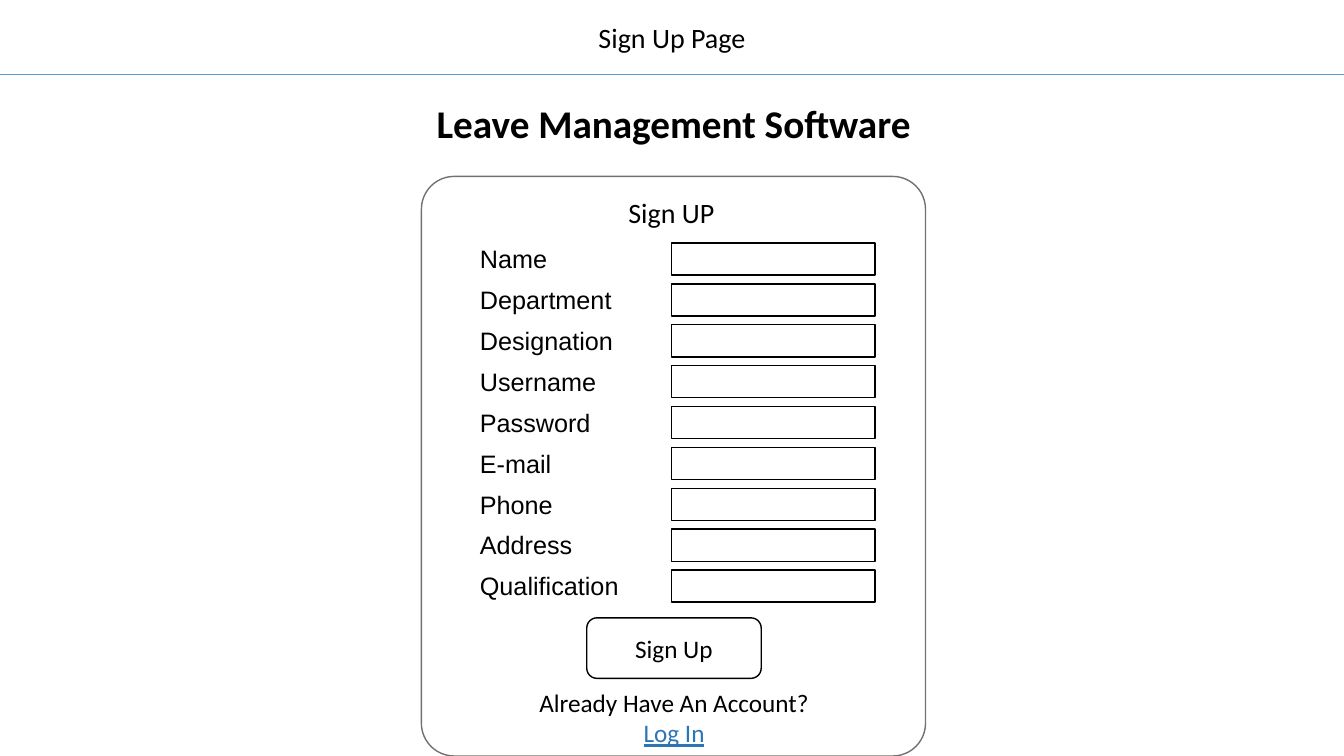
from typing import NamedTuple
from lxml import etree
from pptx import Presentation, util as u
from pptx.dml import color
from pptx.enum import shapes, text
from pptx.oxml import ns


# Colours and type
class Theme(NamedTuple):
    ink: str = "000000"
    paper: str = "FFFFFF"
    rule: str = "5B9BD5"
    edge: str = "757070"
    link: str = "2E75B5"
    face: str = "Calibri"
    label: str = "Arial"
    big: int = 28
    head: int = 20
    base: int = 18


class Box(NamedTuple):
    left: float
    top: float
    width: float
    height: float

    def place(self) -> list:
        return [u.Inches(n) for n in self]


class Panel(NamedTuple):
    box: Box
    edge: str
    round: float = 0


class Label(NamedTuple):
    box: Box
    words: str
    size: int


T = Theme()
FIELDS = ["Name", "Department", "Designation", "Username", "Password",
          "E-mail", "Phone", "Address", "Qualification"]
GRID = Box(4.66, 2.39, 4.03, 3.65)
ROW = GRID.height / len(FIELDS)
CARD = Panel(Box(4.18, 1.75, 5, 5.75), T.edge, 0.065)
BUTTON = Panel(Box(5.82, 6.13, 1.73, 0.6), T.ink, 0.167)
ENTRIES = [Panel(Box(6.66, 2.41 + i * ROW, 2.02, 0.32), T.ink)
           for i in range(len(FIELDS))]
PAGE = Label(Box(5.8, 0.15, 1.73, 0.44), "Sign Up Page", T.head)
FORM = Label(Box(5.66, 1.89, 2, 0.44), "Sign UP", T.head)
LOGIN = Label(Box(5.24, 6.77, 2.89, 0.71),
              "Already Have An Account?\nLog In", T.base)


def rgb(tone: str) -> color.RGBColor:
    return color.RGBColor.from_string(tone)


def style(frame, size: int, face: str = T.face, bold: bool = False,
          align=text.PP_ALIGN.CENTER) -> None:
    for para in frame.paragraphs:
        para.alignment = align
        for run in para.runs:
            font = run.font
            font.name, font.size, font.bold = face, u.Pt(size), bold
            font.color.rgb = rgb(T.ink)


def write(slide, label: Label):
    frame = slide.shapes.add_textbox(*label.box.place()).text_frame
    frame.text = label.words
    frame.word_wrap = True
    frame.auto_size = text.MSO_AUTO_SIZE.SHAPE_TO_FIT_TEXT
    style(frame, label.size)
    return frame


def draw(slide, panel: Panel):
    kind = shapes.MSO_SHAPE
    form = kind.ROUNDED_RECTANGLE if panel.round else kind.RECTANGLE
    shape = slide.shapes.add_shape(form, *panel.box.place())
    if panel.round:
        shape.adjustments[0] = panel.round
    shape.shadow.inherit = False
    shape.fill.solid()
    shape.fill.fore_color.rgb = rgb(T.paper)
    shape.line.color.rgb = rgb(panel.edge)
    shape.line.width = u.Pt(1)
    return shape


deck = Presentation()
deck.slide_width, deck.slide_height = u.Inches(13.33), u.Inches(7.5)
slide = deck.slides.add_slide(deck.slide_layouts[5])

# Page header and rule
write(slide, PAGE)
rule = slide.shapes.add_connector(
    shapes.MSO_CONNECTOR.STRAIGHT, 0, u.Inches(0.74),
    deck.slide_width, u.Inches(0.74))
rule.line.color.rgb = rgb(T.rule)
rule.line.width = u.Pt(0.75)
etree.SubElement(rule.element.spPr, ns.qn("a:effectLst"))

# Title
title = slide.shapes.title
title.left, title.top, title.width, title.height = Box(
    4.18, 0.93, 5, 0.57).place()
frame = title.text_frame
frame.text = "Leave Management Software"
frame.auto_size = text.MSO_AUTO_SIZE.NONE
frame.vertical_anchor = text.MSO_ANCHOR.MIDDLE
style(frame, T.big, bold=True)

# Form card with field names
draw(slide, CARD)
write(slide, FORM)
table = slide.shapes.add_table(len(FIELDS), 2, *GRID.place()).table
table.first_row = table.horz_banding = False
for row, name in zip(table.rows, FIELDS):
    row.height = u.Inches(ROW)
    row.cells[0].text_frame.text = name
    for cell in row.cells:
        cell.fill.background()
        style(cell.text_frame, T.base, T.label, align=text.PP_ALIGN.LEFT)

# Entry boxes
for entry in ENTRIES:
    draw(slide, entry)

# Button and login link
frame = draw(slide, BUTTON).text_frame
frame.text = "Sign Up"
frame.vertical_anchor = text.MSO_ANCHOR.MIDDLE
style(frame, T.base)
link = write(slide, LOGIN).paragraphs[1].runs[0].font
link.underline = True
link.color.rgb = rgb(T.link)

deck.save("out.pptx")
